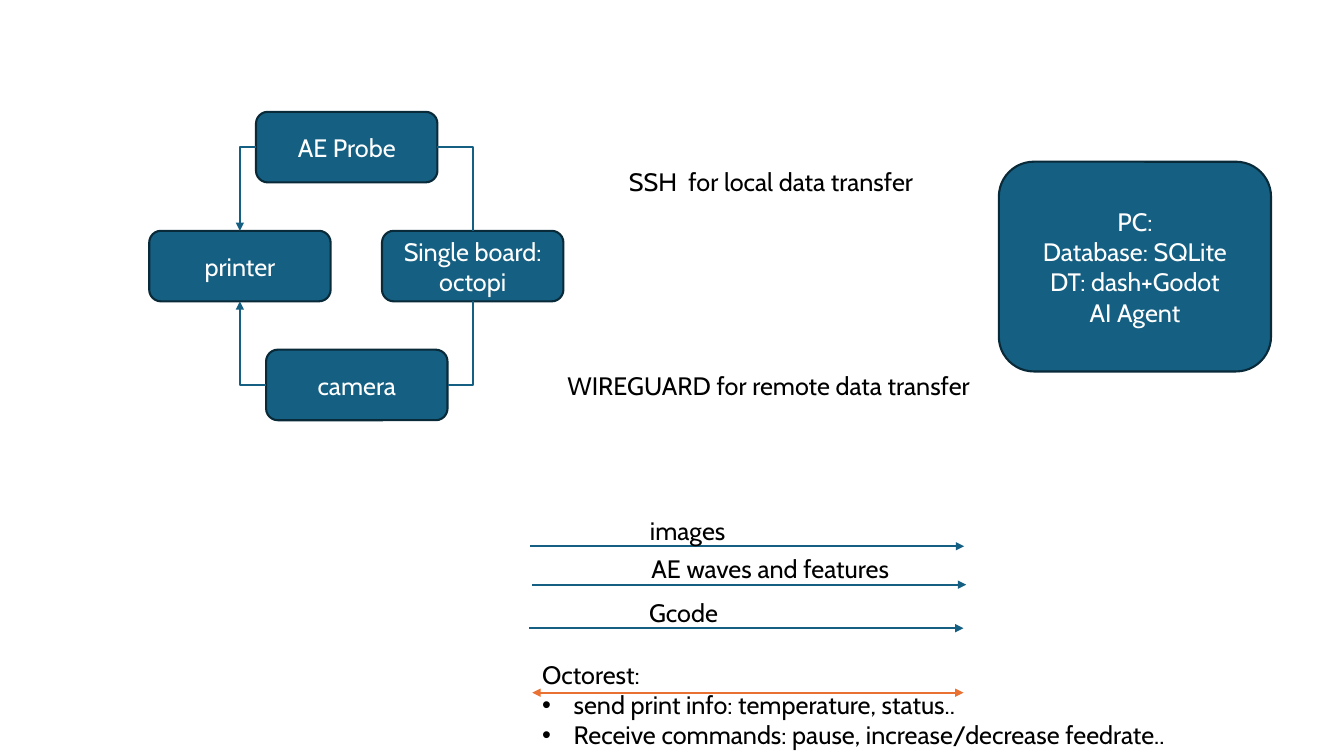
from dataclasses import dataclass
from lxml.etree import SubElement
from pptx import Presentation
from pptx.dml.color import RGBColor as RGB
from pptx.enum.shapes import MSO_CONNECTOR as LINK, MSO_SHAPE as SHAPE
from pptx.enum.text import MSO_ANCHOR as ANCHOR, MSO_AUTO_SIZE as FIT, PP_ALIGN as ALIGN
from pptx.oxml.ns import qn
from pptx.util import Pt


@dataclass(frozen=True)
class Theme:
    font: str = "Cabin"
    size: float = 18
    line: float = 1.5
    blue: RGB = RGB(0x15, 0x60, 0x82)
    edge: RGB = RGB(0x09, 0x2A, 0x39)
    accent: RGB = RGB(0xE9, 0x71, 0x32)
    white: RGB = RGB(255, 255, 255)
    black: RGB = RGB(0, 0, 0)


THEME = Theme()
NODE = (129.6, 50.4)
INDENT = 22.5
# Connection sites of a rounded box
TOP, LEFT, BOTTOM, RIGHT = range(4)


def style(frame, color, align=ALIGN.LEFT):
    for para in frame.paragraphs:
        para.alignment = align
        for run in para.runs:
            run.font.name = THEME.font
            run.font.size = Pt(THEME.size)
            run.font.color.rgb = color


def add_box(slide, text, left, top, width=NODE[0], height=NODE[1]):
    box = slide.shapes.add_shape(
        SHAPE.ROUNDED_RECTANGLE, Pt(left), Pt(top), Pt(width), Pt(height))
    box.shadow.inherit = False
    box.fill.solid()
    box.fill.fore_color.rgb = THEME.blue
    box.line.color.rgb = THEME.edge
    box.line.width = Pt(THEME.line)
    frame = box.text_frame
    frame.word_wrap = True
    frame.vertical_anchor = ANCHOR.MIDDLE
    frame.text = text
    style(frame, THEME.white, ALIGN.CENTER)
    return box


def add_label(slide, text, left, top, width, height=29.1):
    label = slide.shapes.add_textbox(Pt(left), Pt(top), Pt(width), Pt(height))
    frame = label.text_frame
    frame.word_wrap = True
    frame.auto_size = FIT.SHAPE_TO_FIT_TEXT
    frame.text = text
    style(frame, THEME.black)
    return frame


def add_bullet(para):
    props = para._p.get_or_add_pPr()
    props.set("marL", str(Pt(INDENT)))
    props.set("indent", str(-Pt(INDENT)))
    SubElement(props, qn("a:buFont"), typeface="Arial")
    SubElement(props, qn("a:buChar"), char="•")


def dress(link, color, ends):
    link.line.color.rgb = color
    link.line.width = Pt(THEME.line)
    props = link.element.spPr
    for end in ends:
        SubElement(props.get_or_add_ln(), qn(f"a:{end}"), type="triangle")
    SubElement(props, qn("a:effectLst"))


def add_arrow(slide, left, right, y, color, ends=("tailEnd",)):
    link = slide.shapes.add_connector(
        LINK.STRAIGHT, Pt(left), Pt(y), Pt(right), Pt(y))
    dress(link, color, ends)


def add_elbow(slide, start, side, goal, face, ends=()):
    link = slide.shapes.add_connector(LINK.ELBOW, 0, 0, 0, 0)
    link.begin_connect(start, side)
    link.end_connect(goal, face)
    # One bend: across first, then up or down
    link.element.spPr.find(qn("a:prstGeom")).set("prst", "bentConnector2")
    dress(link, THEME.blue, ends)


def main():
    deck = Presentation()
    deck.slide_width, deck.slide_height = Pt(960), Pt(540)
    slide = deck.slides.add_slide(deck.slide_layouts[6])

    # Devices around the printer
    printer = add_box(slide, "printer", 106.6, 164.9)
    board = add_box(slide, "Single board:\noctopi", 272.9, 164.9)
    sensor = add_box(slide, "AE Probe", 182.9, 79.9)
    camera = add_box(slide, "camera", 190.1, 249.8)
    for device, face in ((sensor, TOP), (camera, BOTTOM)):
        add_elbow(slide, device, LEFT, printer, face, ("tailEnd",))
        add_elbow(slide, device, RIGHT, board, face)

    # Computer and the ways to reach it
    add_box(slide, "PC:\nDatabase: SQLite\nDT: dash+Godot\nAI Agent",
            713.5, 115.5, 194.4, 149.8)
    add_label(slide, "SSH  for local data transfer", 442.1, 115.5, 246.2)
    add_label(slide, "WIREGUARD for remote data transfer", 398.2, 261, 305.3)

    # One-way data flows
    flows = (
        ("images", 378.7, 390.2, 457.2, 155.5),
        ("AE waves and features", 380.2, 417.6, 458.2, 195.1),
        ("Gcode", 378.2, 448.7, 456.6, 195.1),
    )
    for text, left, y, start, width in flows:
        add_arrow(slide, left, left + 310, y, THEME.blue)
        add_label(slide, text, start, y - 25.9, width)

    # Two-way control
    add_arrow(slide, 380.2, 688.3, 494.8, THEME.accent, ("headEnd", "tailEnd"))
    notes = add_label(
        slide,
        "Octorest:\nsend print info: temperature, status..\n"
        "Receive commands: pause, increase/decrease feedrate..",
        380.2, 467.3, 509, 72.7)
    for para in notes.paragraphs[1:]:
        add_bullet(para)

    deck.save("out.pptx")


if __name__ == "__main__":
    main()
